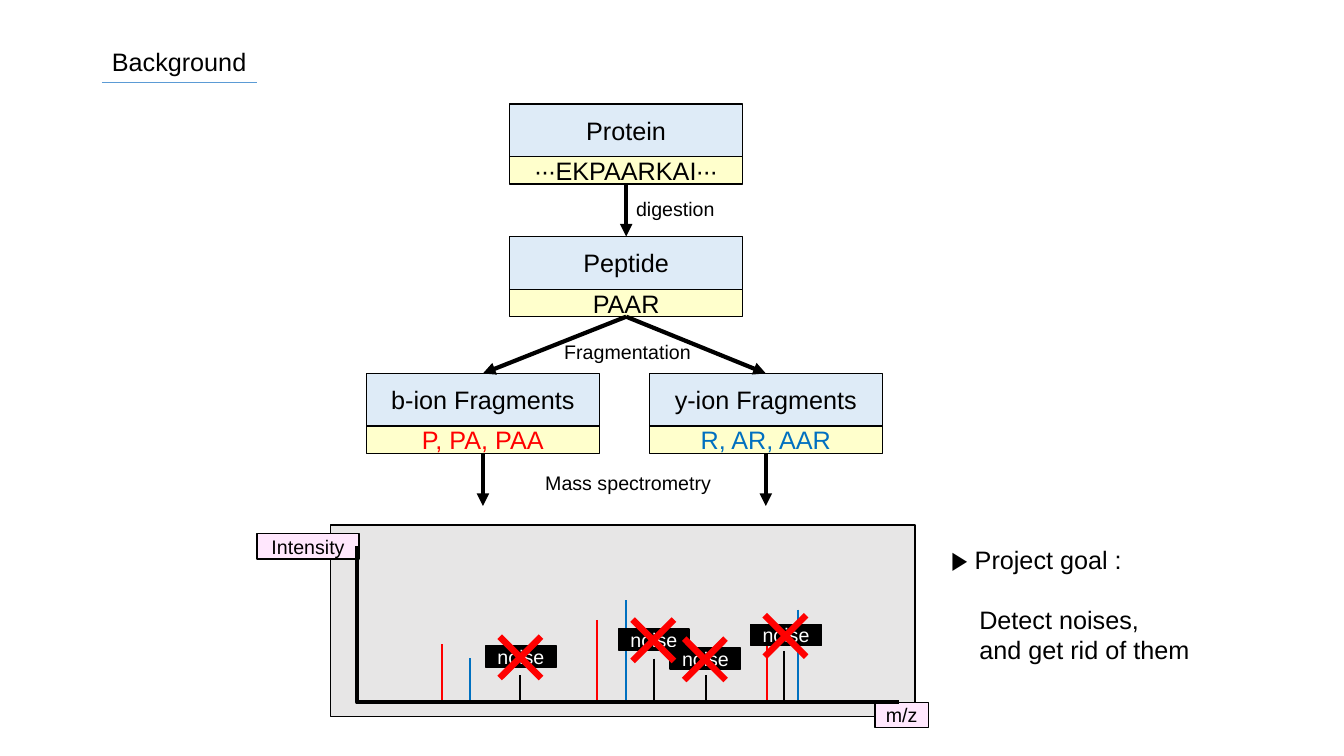
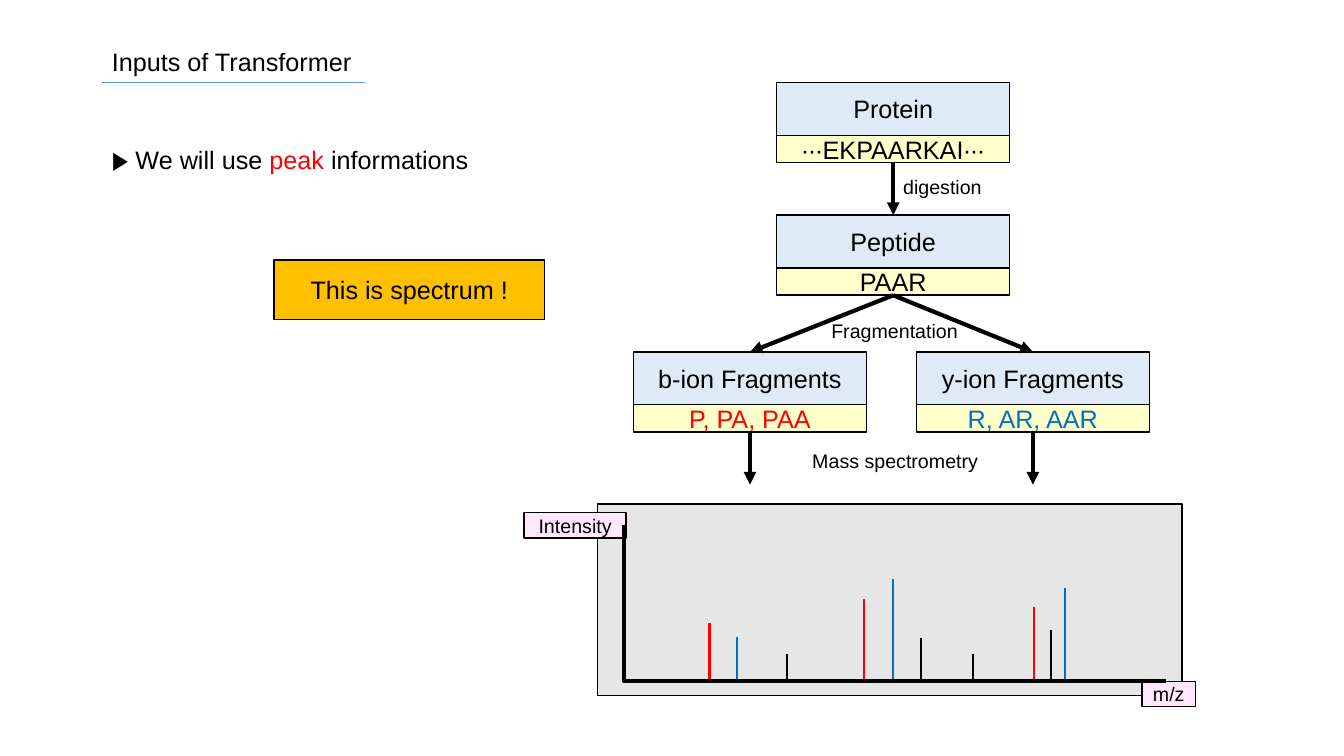
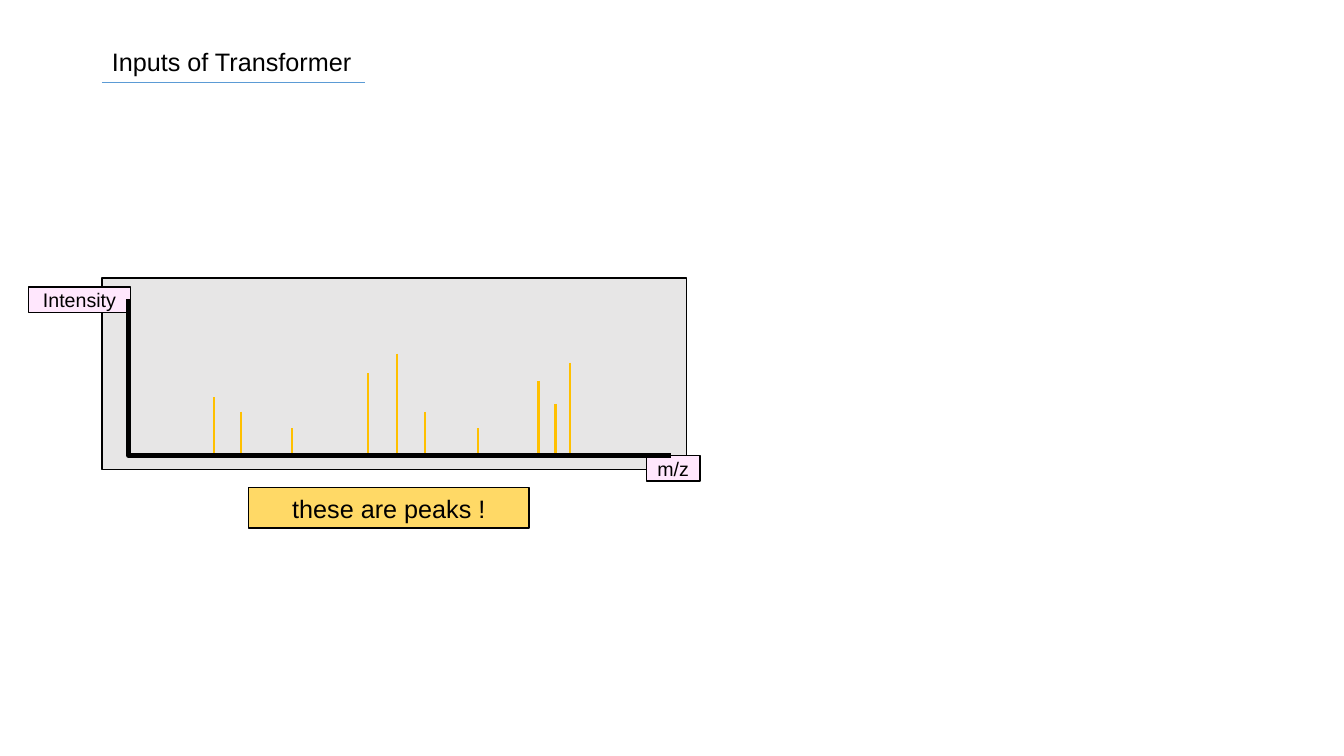
from dataclasses import dataclass
from typing import Optional

from lxml import etree
from pptx import Presentation
from pptx import util as u
from pptx.dml.color import RGBColor
from pptx.enum import shapes, text
from pptx.oxml import ns

# Colours and type
BLACK = RGBColor(0x00, 0x00, 0x00)
WHITE = RGBColor(0xFF, 0xFF, 0xFF)
RED = RGBColor(0xFF, 0x00, 0x00)
BLUE = RGBColor(0x00, 0x70, 0xC0)
TITLE_RULE = RGBColor(0x5B, 0x9B, 0xD5)
STAGE_BLUE = RGBColor(0xDE, 0xEB, 0xF7)
SEQUENCE_YELLOW = RGBColor(0xFF, 0xFF, 0xCC)
PANEL_GREY = RGBColor(0xE7, 0xE6, 0xE6)
AXIS_PINK = RGBColor(0xFF, 0xE7, 0xFD)
AMBER = RGBColor(0xFF, 0xC0, 0x00)
LIGHT_AMBER = RGBColor(0xFF, 0xD9, 0x66)
FONT = "Arial"
BODY, SMALL = 18, 14

# Shared measures, in centimetres
MARGIN = 2.57
STAGE_W, STAGE_H, SEQUENCE_H = 5.87, 1.33, 0.69
BLOCK_H = STAGE_H + SEQUENCE_H
ARROW_H = 1.32
BASELINE = 4.47


@dataclass(frozen=True)
class Stage:
    name: str
    sequence: str
    dx: float
    dy: float
    color: RGBColor = BLACK


@dataclass(frozen=True)
class Step:
    label: str
    dx: float
    dy: float


@dataclass(frozen=True)
class Peak:
    dx: float
    height: float
    color: RGBColor = BLACK


# Stages are placed from the top centre of the flow
PROTEIN = Stage("Protein", "∙∙∙EKPAARKAI∙∙∙", 0, 0)
PEPTIDE = Stage("Peptide", "PAAR", 0, 3.34)
B_IONS = Stage("b-ion Fragments", "P, PA, PAA", -3.61, 6.79, RED)
Y_IONS = Stage("y-ion Fragments", "R, AR, AAR", 3.52, 6.79, BLUE)
STEPS = (
    Step("digestion", 0, 2.21),
    Step("Fragmentation", -1.81, 5.82),
    Step("Mass spectrometry", -2.29, 9.12),
)

# Peaks and noise labels are placed from the panel's top left corner
PEAKS = (
    Peak(2.82, 1.47, RED), Peak(6.71, 2.08, RED), Peak(11.0, 1.88, RED),
    Peak(3.51, 1.11, BLUE), Peak(7.44, 2.57, BLUE), Peak(11.79, 2.34, BLUE),
    Peak(11.43, 1.3), Peak(8.15, 1.1), Peak(4.78, 0.69), Peak(9.47, 0.69),
)
NOISE_SPOTS = ((3.91, 3.05), (7.26, 2.62), (10.59, 2.51), (8.56, 3.1))


# Drawing helpers
def style(paragraph, size: int, color: RGBColor = BLACK) -> None:
    paragraph.font.name = FONT
    paragraph.font.size = u.Pt(size)
    paragraph.font.color.rgb = color


def add_box(slide, left: float, top: float, width: float, height: float,
            fill: RGBColor, label: str = "", size: int = BODY,
            color: RGBColor = BLACK) -> None:
    box = slide.shapes.add_shape(shapes.MSO_SHAPE.RECTANGLE, u.Cm(left),
                                 u.Cm(top), u.Cm(width), u.Cm(height))
    box.shadow.inherit = False
    box.fill.solid()
    box.fill.fore_color.rgb = fill
    box.line.color.rgb = BLACK
    box.line.width = u.Pt(1)
    if label:
        frame = box.text_frame
        frame.vertical_anchor = text.MSO_ANCHOR.MIDDLE
        frame.text = label
        frame.paragraphs[0].alignment = text.PP_ALIGN.CENTER
        style(frame.paragraphs[0], size, color)


def add_text(slide, left: float, top: float, width: float, height: float,
             content: str, size: int = BODY):
    frame = slide.shapes.add_textbox(u.Cm(left), u.Cm(top), u.Cm(width),
                                     u.Cm(height)).text_frame
    frame.word_wrap = True
    frame.text = content
    for paragraph in frame.paragraphs:
        style(paragraph, size)
    return frame


def add_line(slide, x1: float, y1: float, x2: float, y2: float,
             color: RGBColor, weight: float, arrow: bool = False,
             kind=shapes.MSO_CONNECTOR.STRAIGHT):
    line = slide.shapes.add_connector(kind, u.Cm(x1), u.Cm(y1),
                                      u.Cm(x2), u.Cm(y2))
    line.line.color.rgb = color
    line.line.width = u.Pt(weight)
    if arrow:
        etree.SubElement(line.line._get_or_add_ln(), ns.qn("a:tailEnd"),
                         type="triangle")
    etree.SubElement(line._element.spPr, ns.qn("a:effectLst"))
    return line


def add_title(slide, title: str, rule_width: float) -> None:
    add_text(slide, MARGIN, 1.04, 14.45, 1.02, title)
    add_line(slide, MARGIN, 2.08, MARGIN + rule_width, 2.08, TITLE_RULE, 0.5)


def add_flow(slide, center: float, top: float) -> None:
    """Protein to fragments, with the steps between them."""
    for stage in (PROTEIN, PEPTIDE, B_IONS, Y_IONS):
        left, y = center + stage.dx - STAGE_W / 2, top + stage.dy
        add_box(slide, left, y, STAGE_W, STAGE_H, STAGE_BLUE, stage.name)
        add_box(slide, left, y + STAGE_H, STAGE_W, SEQUENCE_H,
                SEQUENCE_YELLOW, stage.sequence, color=stage.color)

    for source, target in ((PROTEIN, PEPTIDE), (PEPTIDE, B_IONS),
                           (PEPTIDE, Y_IONS)):
        add_line(slide, center + source.dx, top + source.dy + BLOCK_H,
                 center + target.dx, top + target.dy, BLACK, 3, arrow=True)
    for ions in (B_IONS, Y_IONS):
        x, y = center + ions.dx, top + ions.dy + BLOCK_H
        add_line(slide, x, y, x, y + ARROW_H, BLACK, 3, arrow=True)

    for step in STEPS:
        add_text(slide, center + step.dx, top + step.dy, 7.62, 0.86,
                 step.label, SMALL)


def add_spectrum(slide, left: float, top: float,
                 peak_color: Optional[RGBColor] = None) -> None:
    """Grey panel with axes and peaks; peak_color overrides every peak."""
    base = top + BASELINE
    add_box(slide, left, top, 14.73, 4.83, PANEL_GREY)
    add_box(slide, left - 1.85, top + 0.22, 2.57, 0.64, AXIS_PINK,
            "Intensity", SMALL)
    add_box(slide, left + 13.72, base, 1.35, 0.64, AXIS_PINK, "m/z", SMALL)
    for peak in PEAKS:
        x = left + peak.dx
        add_line(slide, x, base - peak.height, x, base,
                 peak_color or peak.color, 1.5)
    # Both axes are one elbow that bends at its left end
    axes = add_line(slide, left + 0.67, top + 0.53, left + 14.33, base,
                    BLACK, 3, kind=shapes.MSO_CONNECTOR.ELBOW)
    bend = axes._element.spPr.find(".//" + ns.qn("a:avLst"))
    etree.SubElement(bend, ns.qn("a:gd"), name="adj1", fmla="val 0")


def add_noise(slide, left: float, top: float) -> None:
    """Noise labels, each crossed out."""
    for dx, dy in NOISE_SPOTS:
        add_box(slide, left + dx, top + dy, 1.78, 0.53, BLACK, "noise",
                SMALL, WHITE)
    for dx, dy in NOISE_SPOTS:
        cross = slide.shapes.add_shape(
            shapes.MSO_SHAPE.MATH_MULTIPLY, u.Cm(left + dx - 0.13),
            u.Cm(top + dy - 0.72), u.Cm(2.01), u.Cm(2.01))
        cross.adjustments[0] = 0.081
        cross.shadow.inherit = False
        cross.fill.solid()
        cross.fill.fore_color.rgb = RED
        cross.line.fill.background()


# Slides
def build_background(slide) -> None:
    add_title(slide, "Background", 3.91)
    add_flow(slide, 15.78, 2.62)
    add_spectrum(slide, 8.33, 13.23)
    add_noise(slide, 8.33, 13.23)
    goal = add_text(slide, 23.72, 13.59, 8.43, 3.33,
                    "▶ Project goal :\nDetect noises,\nand get rid of them")
    for detail in goal.paragraphs[1:]:
        detail._p.get_or_add_pPr().set("marL", str(u.Cm(0.71)))
    goal.paragraphs[1].space_before = u.Pt(21)


def build_inputs(slide) -> None:
    add_title(slide, "Inputs of Transformer", 6.63)
    usage = add_text(slide, MARGIN, 3.51, 14.81, 1.02, "▶ We will use ")
    for words, color in (("peak ", RED), ("informations", BLACK)):
        run = usage.paragraphs[0].add_run()
        run.text = words
        run.font.color.rgb = color
    add_flow(slide, 22.51, 2.08)
    add_spectrum(slide, 15.06, 12.7)
    add_box(slide, 6.91, 6.55, 6.81, 1.5, AMBER, "This is spectrum !")


def build_peaks(slide) -> None:
    add_title(slide, "Inputs of Transformer", 6.63)
    add_spectrum(slide, MARGIN, 7.01, AMBER)
    add_box(slide, 6.27, 12.29, 7.06, 1.02, LIGHT_AMBER, "these are peaks !")


def main() -> None:
    deck = Presentation()
    deck.slide_width, deck.slide_height = u.Cm(33.87), u.Cm(19.05)
    for build in (build_background, build_inputs, build_peaks):
        build(deck.slides.add_slide(deck.slide_layouts[6]))
    deck.save("out.pptx")


if __name__ == "__main__":
    main()
